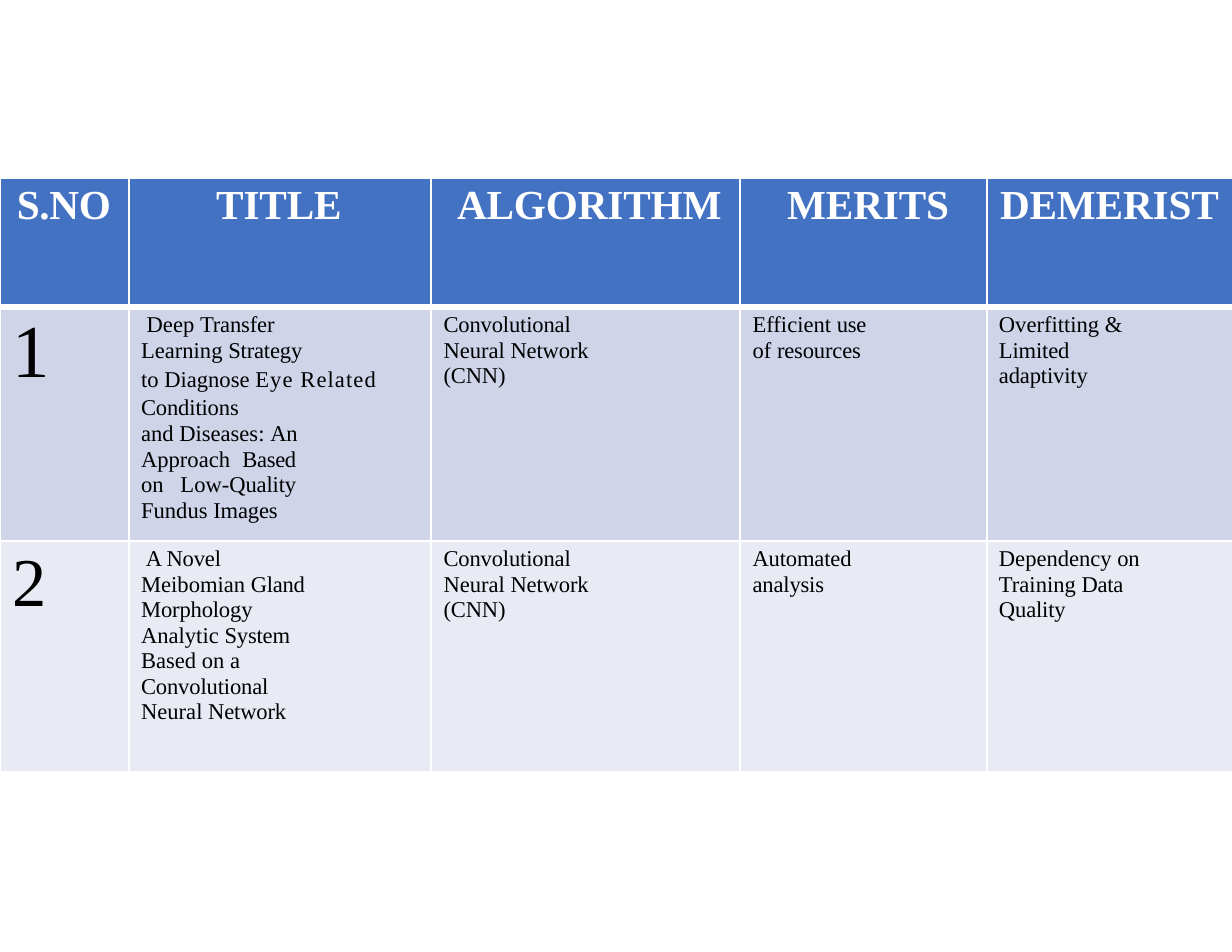
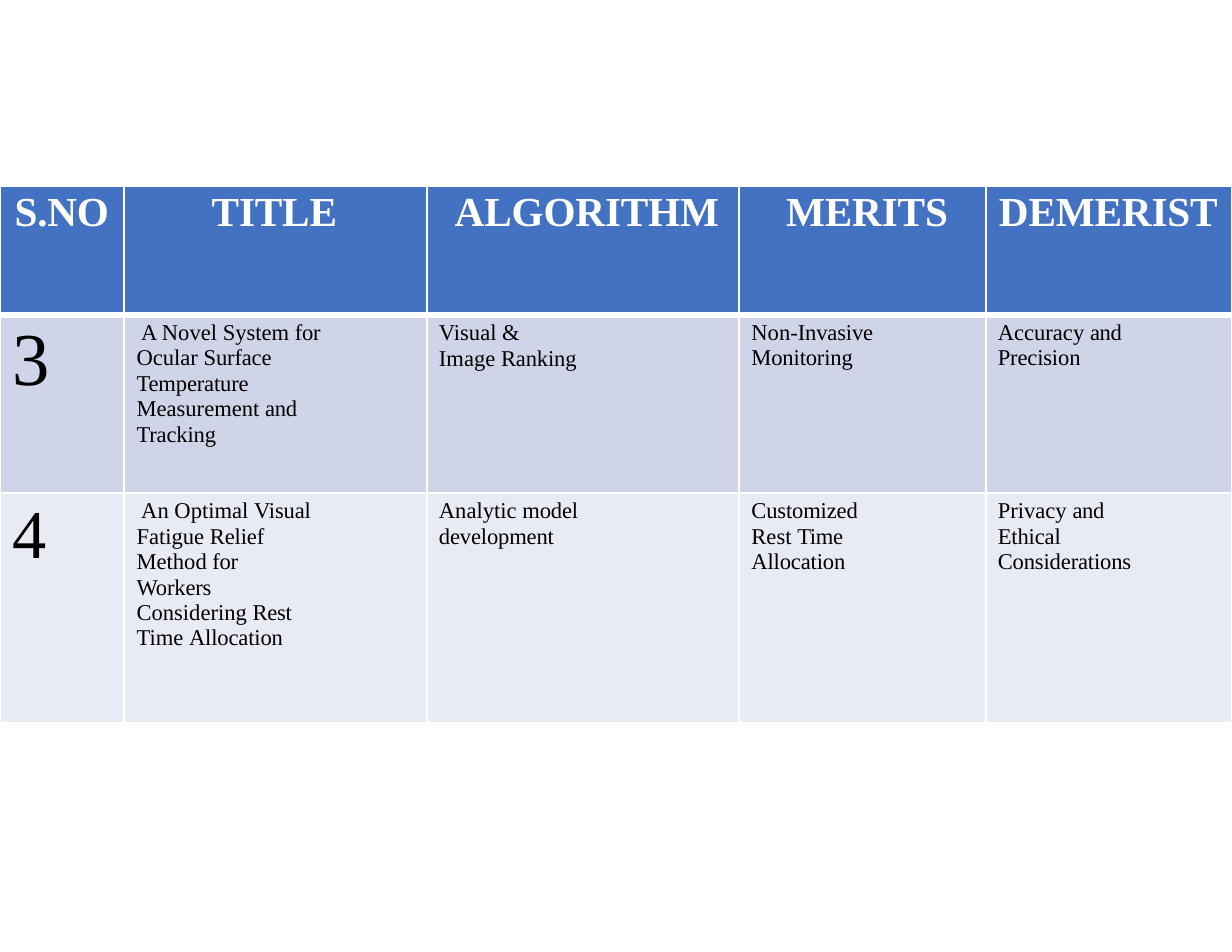
from pptx import Presentation
from pptx.dml.color import RGBColor
from pptx.enum.text import PP_ALIGN
from pptx.oxml import parse_xml
from pptx.oxml.ns import nsdecls
from pptx.util import Pt

LEFT, JUSTIFY = PP_ALIGN.LEFT, PP_ALIGN.JUSTIFY
WHITE = RGBColor(0xFF, 0xFF, 0xFF)
BLACK = RGBColor(0, 0, 0)
ROW_FILLS = [RGBColor(0x44, 0x72, 0xC3), RGBColor(0xCF, 0xD4, 0xE9), RGBColor(0xE8, 0xEB, 0xF4)]
FONT = "Times New Roman"
HEADS = [("S.NO", -0.2), ("TITLE", -0.1), ("ALGORITHM", -0.1), ("MERITS", -0.1), ("DEMERIST", -0.1)]
HEADER = dict(size=Pt(26.5), bold=True, name=FONT)
BODY = dict(size=Pt(14.5), bold=False, name=FONT)
NUMBERS = [dict(BODY, size=Pt(48)), dict(BODY, size=Pt(44))]
INDENT = 7.92
MERITS_RIGHT, DEMERITS_RIGHT = 69, 53


def add_par(p, runs, font, color, left=INDENT, right=0, first=0, spacing=1.0, before=0, align=LEFT):
    """Fill a paragraph with (text, letter spacing) runs; lengths in points."""
    p.alignment, p.line_spacing, p.space_before = align, spacing, Pt(before)
    pPr = p._p.get_or_add_pPr()
    for key, value in dict(marL=left, marR=right, indent=first).items():
        pPr.set(key, str(Pt(value)))
    for text, spc in runs:
        r = p.add_run()
        r.text = text
        for key, value in font.items():
            setattr(r.font, key, value)
        r.font.color.rgb = color
        r._r.get_or_add_rPr().set("spc", str(round(spc * 100)))


def set_borders(cell, top, bottom):
    """White borders; they come before the fill in the cell properties."""
    tcPr = cell._tc.get_or_add_tcPr()
    for i, (side, width) in enumerate(dict(lnL=1.5, lnR=1.5, lnT=top, lnB=bottom).items()):
        tcPr.insert(i, parse_xml(
            f'<a:{side} {nsdecls("a")} w="{Pt(width)}"><a:solidFill>'
            f'<a:srgbClr val="{WHITE}"/></a:solidFill></a:{side}>'))


# Table contents: each body cell is a list of (runs, paragraph format)
CNN = [([("Convolutional ", -0.1), ("Neural ", 0), ("Network (CNN)", -0.1)],
        dict(right=82, spacing=1.02, before=3.3))]
M = dict(right=MERITS_RIGHT, spacing=1.02, before=3.3)
D = dict(right=DEMERITS_RIGHT, spacing=1.02, before=3.3)

SLIDES = [
    dict(
        top=114.5, cols=[82.8, 194.4, 198.7, 158.4, 158.4], rows=[82.8, 150.5, 148.3],
        head_indents=[10.8, 56.2, 16.6, 30.2, 8.6],
        body=[
            ("1", [
                ([("Deep ", 0), ("Transfer ", -0.1), ("Learning ", 0), ("Strategy", -0.1)],
                 dict(right=65, first=3.6, spacing=1.03, before=3.2)),
                ([("to Diagnose ", 0), ("Eye\u00a0Related ", 0.7), ("Conditions", -0.1)],
                 dict(spacing=Pt(17.9), before=0.6)),
                ([("and Diseases: ", 0), ("An", -0.2)], dict(spacing=Pt(17.1))),
                ([("Approach ", 0), ("Based ", -0.2), ("on Low-", 0), ("Quality ", -0.1),
                  ("Fundus ", 0), ("Images", -0.1)],
                 dict(right=87, spacing=1.02, before=0.1, align=JUSTIFY))],
             CNN,
             [([("Efficient ", 0), ("use ", -0.2), ("of ", 0), ("resources", -0.1)], M)],
             [([("Overfitting ", 0), ("& ", -0.5), ("Limited adaptivity", -0.1)], D)]),
            ("2", [
                ([("A ", 0), ("Novel ", -0.1), ("Meibomian ", 0), ("Gland ", -0.2),
                  ("Morphology ", -0.1), ("Analytic ", 0), ("System ", -0.1), ("Based on ", 0),
                  ("a ", -0.6), ("Convolutional ", -0.1), ("Neural ", 0), ("Network", -0.1)],
                 dict(right=72.5, first=3, spacing=1.02, before=3.3))],
             CNN,
             [([("Automated analysis", -0.1)], M)],
             [([("Dependency ", 0), ("on ", -0.2), ("Training ", 0), ("Data ", -0.2),
                ("Quality", -0.1)], D)]),
        ]),
    dict(
        top=119.5, cols=[79.9, 194.4, 200.9, 158.4, 158.4], rows=[82.8, 114.5, 148.3],
        head_indents=[9.4, 56.2, 18, 30.2, 8.6],
        body=[
            ("3", [
                ([("A Novel System ", 0), ("for ", -0.2), ("Ocular ", 0),
                  ("Surface Temperature ", -0.1), ("Measurement ", 0), ("and ", -0.2),
                  ("Tracking", -0.1)],
                 dict(right=50, first=3, spacing=1.02, before=3.3))],
             [([("Visual ", 0), ("& ", -0.5), ("Image ", 0), ("Ranking", -0.1)],
               dict(right=102.3, spacing=1.03, before=3.2))],
             [([("Non-", 0), ("Invasive Monitoring", -0.1)], M)],
             [([("Accuracy ", 0), ("and ", -0.2), ("Precision", -0.1)], D)]),
            ("4", [
                ([("An Optimal ", 0), ("Visual ", -0.1), ("Fatigue ", 0), ("Relief ", -0.1),
                  ("Method ", 0), ("for ", -0.2), ("Workers ", -0.1), ("Considering ", 0),
                  ("Rest ", -0.2), ("Time ", 0), ("Allocation", -0.1)],
                 dict(right=71.5, first=3, spacing=1.02, before=3.3))],
             [([("Analytic ", 0), ("model development", -0.1)],
               dict(right=89, spacing=1.03, before=3.2))],
             [([("Customized ", -0.1), ("Rest ", 0), ("Time ", -0.2), ("Allocation", -0.1)], M)],
             [([("Privacy ", 0), ("and ", -0.2), ("Ethical Considerations", -0.1)], D)]),
        ]),
]

prs = Presentation()
prs.slide_width, prs.slide_height = Pt(792), Pt(612)

for data in SLIDES:
    slide = prs.slides.add_slide(prs.slide_layouts[6])
    table = slide.shapes.add_table(3, 5, 0, Pt(data["top"]), Pt(sum(data["cols"])),
                                   Pt(sum(data["rows"]))).table
    for col, width in zip(table.columns, data["cols"]):
        col.width = Pt(width)
    for row, height in zip(table.rows, data["rows"]):
        row.height = Pt(height)

    # Cell fills, margins and borders
    for i, row in enumerate(table.rows):
        for j, cell in enumerate(row.cells):
            cell.margin_left = cell.margin_right = cell.margin_bottom = 0
            cell.margin_top = Pt(3.3 if i and j else 2.7)
            cell.fill.solid()
            cell.fill.fore_color.rgb = ROW_FILLS[i]
            set_borders(cell, top=4.5 if i == 1 else 1.5, bottom=4.5 if i == 0 else 1.5)

    # Header row
    for j, (head, left) in enumerate(zip(HEADS, data["head_indents"])):
        add_par(table.cell(0, j).text_frame.paragraphs[0], [head], HEADER, WHITE,
                left=left, before=2.8)

    # Body rows: large number, then text cells
    for i, (number, *cells) in enumerate(data["body"], 1):
        add_par(table.cell(i, 0).text_frame.paragraphs[0], [(number, -0.5)], NUMBERS[i - 1],
                BLACK, before=2.5)
        for j, pars in enumerate(cells, 1):
            tf = table.cell(i, j).text_frame
            for k, (runs, fmt) in enumerate(pars):
                p = tf.add_paragraph() if k else tf.paragraphs[0]
                add_par(p, runs, BODY, BLACK, **fmt)

prs.save("out.pptx")
